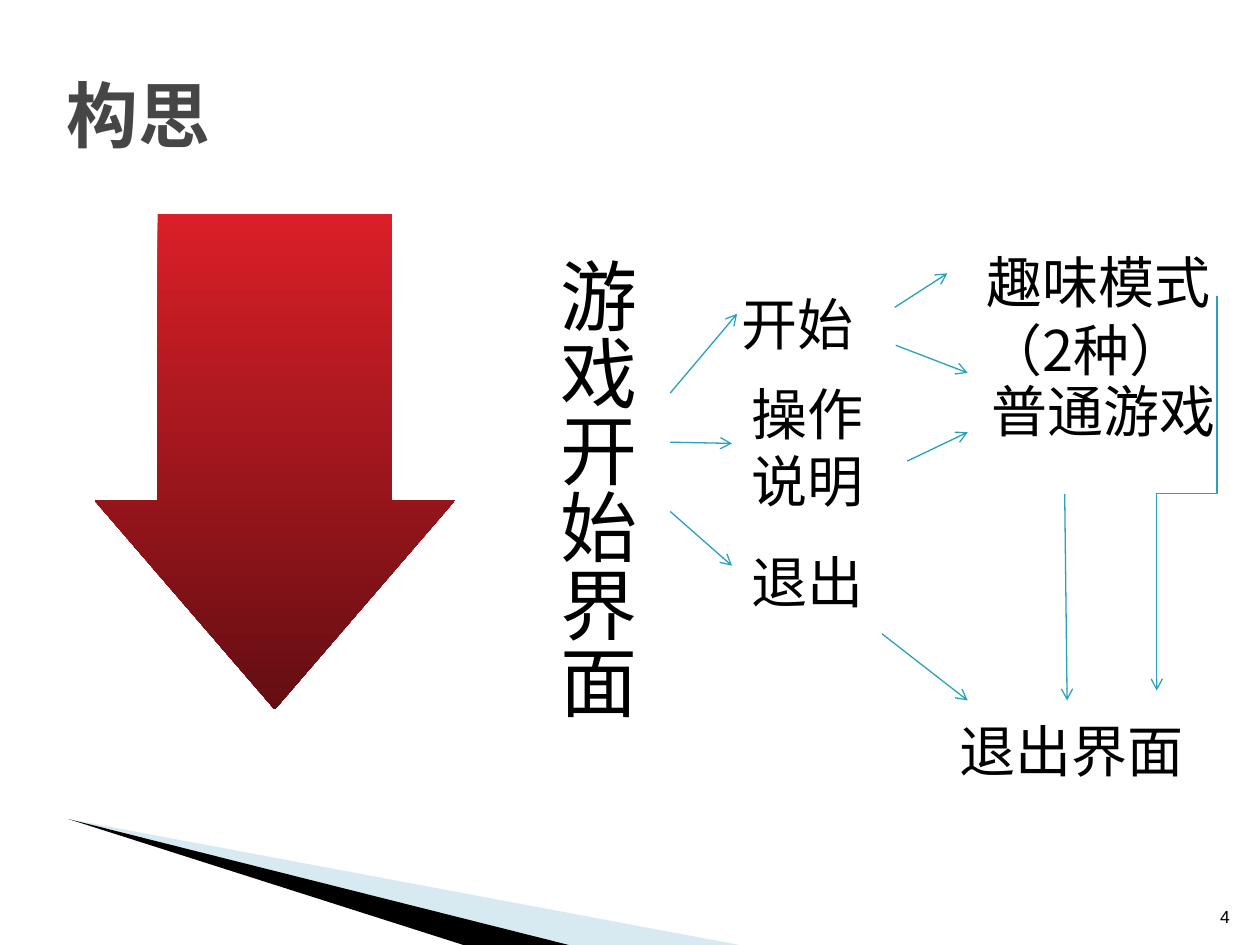
from lxml import etree
from pptx import Presentation
from pptx.dml.color import RGBColor
from pptx.enum.shapes import MSO_CONNECTOR, MSO_SHAPE
from pptx.enum.text import MSO_ANCHOR, PP_ALIGN
from pptx.oxml.ns import qn
from pptx.util import Pt

STRAIGHT, ELBOW = MSO_CONNECTOR.STRAIGHT, MSO_CONNECTOR.ELBOW
DOWN_ARROW = MSO_SHAPE.DOWN_ARROW
TOP, MIDDLE, BOTTOM = MSO_ANCHOR.TOP, MSO_ANCHOR.MIDDLE, MSO_ANCHOR.BOTTOM
LEFT, RIGHT = PP_ALIGN.LEFT, PP_ALIGN.RIGHT

BLACK = RGBColor(0x00, 0x00, 0x00)
TITLE_GRAY = RGBColor(0x46, 0x46, 0x46)
PALE_BLUE = RGBColor(0x9D, 0xCA, 0xDC)
LINE_BLUE = RGBColor(0x28, 0xA1, 0xBE)
RED = RGBColor(0xDA, 0x1F, 0x28)
DARK_RED = RGBColor(0x64, 0x0E, 0x12)

LATIN_FONT = "Arial"
CHINESE_FONT = "Noto Sans CJK JP"


def add_text(slide, text, box, size=32, font=CHINESE_FONT, color=BLACK, bold=False,
             align=LEFT, anchor=TOP, vertical=False):
    text_box = slide.shapes.add_textbox(*(Pt(value) for value in box))
    frame = text_box.text_frame
    frame.word_wrap = True
    frame.vertical_anchor = anchor
    if vertical:
        frame._txBody.bodyPr.set("vert", "eaVert")
    frame.text = text
    for paragraph in frame.paragraphs:
        paragraph.alignment = align
        for run in paragraph.runs:
            run.font.name = font
            run.font.size = Pt(size)
            run.font.bold = bold
            run.font.color.rgb = color
            east_asian = etree.SubElement(run.font._element, qn("a:ea"))
            east_asian.set("typeface", CHINESE_FONT)


def add_arrow(slide, start, end, kind=STRAIGHT):
    points = (Pt(value) for value in (*start, *end))
    connector = slide.shapes.add_connector(kind, *points)
    connector.line.color.rgb = LINE_BLUE
    connector.line.width = Pt(0.75)
    line = connector.line._get_or_add_ln()
    etree.SubElement(line, qn("a:tailEnd")).set("type", "arrow")
    etree.SubElement(connector._element.spPr, qn("a:effectLst"))
    return connector


def add_stepped_arrow(slide, start, end):
    """Run down, across and down again: an elbow turned by a quarter."""
    center_x, center_y = (start[0] + end[0]) / 2, (start[1] + end[1]) / 2
    half_width, half_height = (end[1] - start[1]) / 2, (start[0] - end[0]) / 2
    connector = add_arrow(slide, (center_x - half_width, center_y - half_height),
                          (center_x + half_width, center_y + half_height), ELBOW)
    connector._element.spPr.find(qn("a:xfrm")).set("rot", "5400000")


def add_wedge(slide, points, color, opacity=100):
    start, *others = [(Pt(x), Pt(y)) for x, y in points]
    builder = slide.shapes.build_freeform(*start)
    builder.add_line_segments(others)
    wedge = builder.convert_to_shape()
    wedge.shadow.inherit = False
    wedge.line.fill.background()
    wedge.fill.solid()
    wedge.fill.fore_color.rgb = color
    if opacity < 100:
        color_element = wedge._element.spPr.find(".//" + qn("a:srgbClr"))
        etree.SubElement(color_element, qn("a:alpha")).set("val", str(opacity * 1000))


def add_corner_wedges(slide, left, top):
    add_wedge(slide, [(left, top), (left + 389, top + 73), (left + 289, top + 73)],
              PALE_BLUE, opacity=40)
    add_wedge(slide, [(left, top), (left + 290, top + 73), (left + 229, top + 73)], BLACK)


def add_progress_arrow(slide, box):
    arrow = slide.shapes.add_shape(DOWN_ARROW, *(Pt(value) for value in box))
    arrow.adjustments[0] = 0.65
    arrow.adjustments[1] = 0.58
    arrow.shadow.inherit = False
    arrow.line.fill.background()
    arrow.fill.gradient()
    arrow.fill.gradient_angle = 270
    for stop, position, color in zip(arrow.fill.gradient_stops, (0, 1), (RED, DARK_RED)):
        stop.position = position
        stop.color.rgb = color


def add_game_flow(slide, left, top):
    add_text(slide, "游戏开始界面", (left + 3.8, top + 20.4, 67, 283), size=44, vertical=True)

    labels = [
        ("开始", 116.9, 42, 111.6, 45.4),
        ("操作说明", 122.6, 93.1, 88.6, 84.2),
        ("退出", 122.6, 189.6, 107.3, 45.4),
        ("趣味模式\n（2种）", 256.6, 18.2, 158.4, 84.2),
        ("普通游戏", 259.4, 91.7, 146.2, 45.4),
        ("退出界面", 241.4, 286.1, 193.7, 45.4),
    ]
    for text, x, y, width, height in labels:
        add_text(slide, text, (left + x, top + y, width, height))

    arrows = [
        (83, 104.6, 121.2, 59.3),
        (83, 132.7, 118.3, 133.4),
        (83, 172.3, 118.3, 203.3),
        (211.2, 55.7, 241.4, 36.2),
        (211.9, 77.3, 253, 93.1),
        (218.4, 143.5, 253, 127),
        (204, 242.2, 253, 280.3),
        (308.4, 162.2, 309.8, 280.3),
    ]
    for x1, y1, x2, y2 in arrows:
        add_arrow(slide, (left + x1, top + y1), (left + x2, top + y2))
    add_stepped_arrow(slide, (left + 395.5, top + 49.2), (left + 361, top + 274.6))


def main():
    presentation = Presentation()
    presentation.slide_width, presentation.slide_height = Pt(720), Pt(540)
    slide = presentation.slides.add_slide(presentation.slide_layouts[6])
    add_corner_wedges(slide, 39, 468)
    add_text(slide, "构思", (31, 20, 648, 90), size=41, font=LATIN_FONT,
             color=TITLE_GRAY, bold=True, anchor=MIDDLE)
    add_progress_arrow(slide, (54, 122.4, 206, 283))
    add_text(slide, "4", (681, 504.7, 28.8, 28.8), size=10, font=LATIN_FONT,
             align=RIGHT, anchor=BOTTOM)
    add_game_flow(slide, 300, 120)
    presentation.save("out.pptx")


if __name__ == "__main__":
    main()
